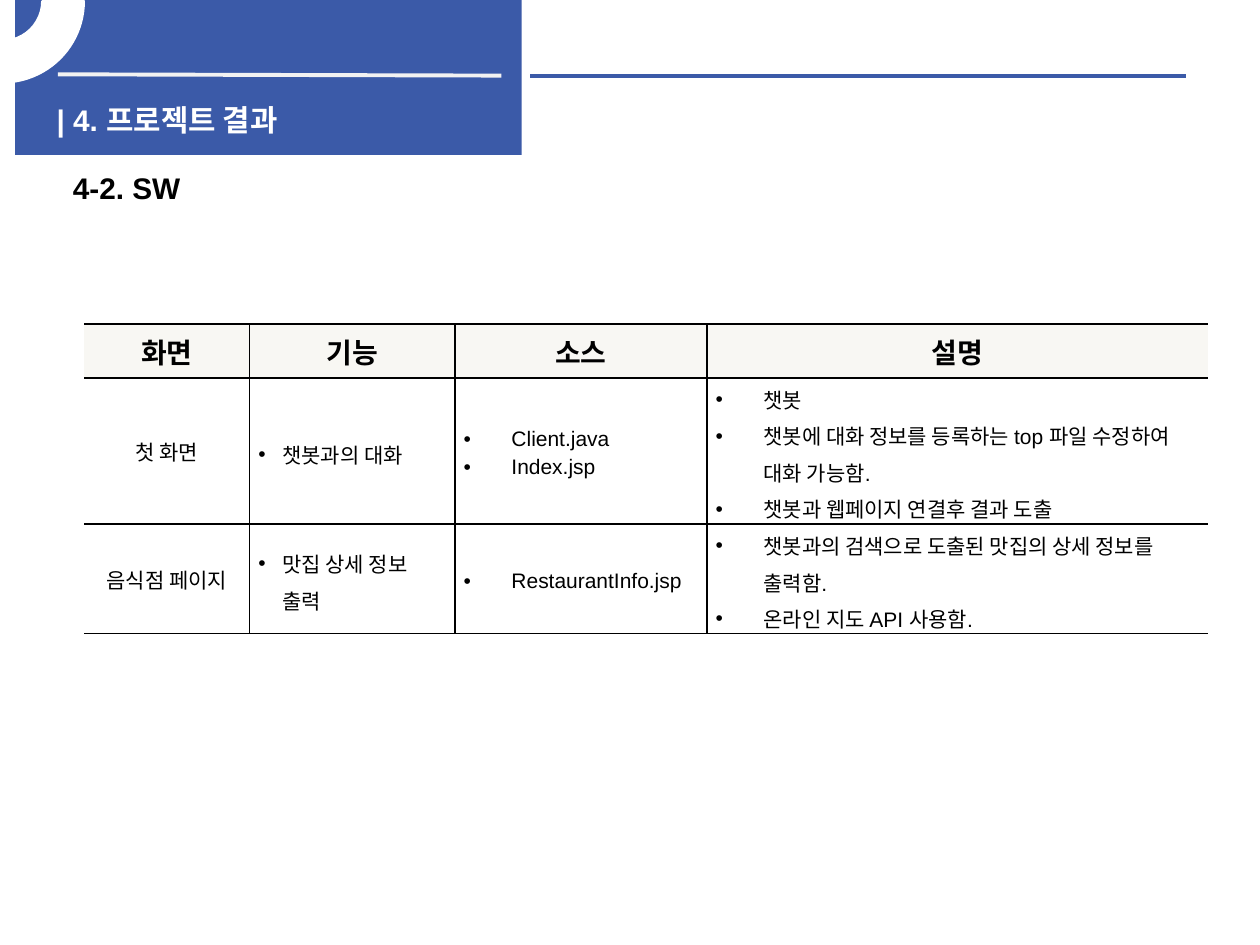
from lxml.etree import SubElement
from pptx import Presentation
from pptx.dml.color import RGBColor
from pptx.enum.shapes import MSO_CONNECTOR, MSO_SHAPE as Shape
from pptx.enum.text import MSO_ANCHOR as Anchor, PP_ALIGN as Align
from pptx.oxml.ns import qn
from pptx.util import Inches, Pt

BLUE, WHITE, BLACK = "3B5AA8", "FFFFFF", "000000"
COLUMN_WIDTHS = (1.31, 1.63, 2, 3.98)
ROW_HEIGHTS = (0.43, 1.16, 0.87)
BULLET_INDENTS = (None, 0.19, 0.38, 0.38)
HEADINGS = ("화면", "기능", "소스", "설명")
SCREENS = (
    (
        "첫 화면",
        "챗봇과의 대화",
        "Client.java\nIndex.jsp",
        "챗봇\n챗봇에 대화 정보를 등록하는 top 파일 수정하여 대화 가능함.\n"
        "챗봇과 웹페이지 연결후 결과 도출",
    ),
    (
        "음식점 페이지",
        "맛집 상세 정보 출력",
        "RestaurantInfo.jsp",
        "챗봇과의 검색으로 도출된 맛집의 상세 정보를 출력함.\n온라인 지도 API 사용함.",
    ),
)


def color(value):
    return RGBColor.from_string(value)


def add_bullet(paragraph, indent):
    properties = paragraph._p.get_or_add_pPr()
    properties.set("marL", str(Inches(indent)))
    properties.set("indent", str(-Inches(indent)))
    SubElement(properties, qn("a:buFont"), typeface="Arial")
    SubElement(properties, qn("a:buChar"), char="•")


def write_text(frame, text, size=12, fill=BLACK, bold=False, align=Align.LEFT,
               line_spacing=None, space=0, bullet_indent=None):
    """Fill a text frame with one paragraph for each line of text."""
    frame.word_wrap = True
    for index, line in enumerate(text.split("\n")):
        paragraph = frame.add_paragraph() if index else frame.paragraphs[0]
        paragraph.alignment = align
        paragraph.space_before = paragraph.space_after = Pt(space)
        if line_spacing:
            paragraph.line_spacing = line_spacing
        if bullet_indent:
            add_bullet(paragraph, bullet_indent)
        run = paragraph.add_run()
        run.text = line
        run.font.name = "Arial"
        run.font.size = Pt(size)
        run.font.bold = bold
        run.font.color.rgb = color(fill)


def add_title(slide, text, left, top, width, height, fill):
    box = slide.shapes.add_textbox(*map(Inches, (left, top, width, height)))
    write_text(box.text_frame, text, size=17, fill=fill, bold=True)


def add_shape(slide, kind, left, top, width, height, fill):
    shape = slide.shapes.add_shape(kind, *map(Inches, (left, top, width, height)))
    shape.shadow.inherit = False
    shape.fill.solid()
    shape.fill.fore_color.rgb = color(fill)
    shape.line.fill.background()
    return shape


def add_ring(slide):
    ring = add_shape(slide, Shape.BLOCK_ARC, -0.63, -0.63, 1.29, 1.28, WHITE)
    ring._element.spPr.xfrm.set("flipV", "1")
    start_degrees = 161.59
    ring.adjustments[0] = start_degrees * 60000 / 100000
    ring.adjustments[1] = 0
    ring.adjustments[2] = 0.25
    ring.line.color.rgb = color(WHITE)
    ring.line.width = Pt(2)


def add_rule(slide, x1, y1, x2, y2, fill):
    rule = slide.shapes.add_connector(
        MSO_CONNECTOR.STRAIGHT, *map(Inches, (x1, y1, x2, y2)))
    rule.line.color.rgb = color(fill)
    rule.line.width = Pt(2.25)
    SubElement(rule._element.spPr, qn("a:effectLst"))


def set_borders(cell, visible_sides):
    properties = cell._tc.get_or_add_tcPr()
    for side in "LRTB":
        border = SubElement(properties, qn(f"a:ln{side}"), w=str(Pt(1)))
        if side in visible_sides:
            solid = SubElement(border, qn("a:solidFill"))
            SubElement(solid, qn("a:srgbClr"), val=BLACK)
        else:
            SubElement(border, qn("a:noFill"))


def format_cell(cell, row, column):
    left_side = "L" if column > 0 else ""
    right_side = "R" if column < len(COLUMN_WIDTHS) - 1 else ""
    set_borders(cell, "TB" + left_side + right_side)
    cell.vertical_anchor = Anchor.MIDDLE
    if row == 0:
        cell.fill.solid()
        cell.fill.fore_color.rgb = color("F8F7F3")
    else:
        cell.fill.background()
        cell.margin_left = cell.margin_right = Inches(0.07)
        cell.margin_top = cell.margin_bottom = 0


def add_screen_table(slide):
    rows = (HEADINGS, *SCREENS)
    table = slide.shapes.add_table(
        len(rows), len(HEADINGS), Inches(0.67), Inches(2.57),
        Inches(sum(COLUMN_WIDTHS)), Inches(sum(ROW_HEIGHTS))).table
    table.first_row = table.horz_banding = False
    for column, width in zip(table.columns, COLUMN_WIDTHS):
        column.width = Inches(width)
    for row, height in zip(table.rows, ROW_HEIGHTS):
        row.height = Inches(height)
    for row, texts in enumerate(rows):
        for column, text in enumerate(texts):
            cell = table.cell(row, column)
            format_cell(cell, row, column)
            if row == 0:
                style = dict(size=16, bold=True, align=Align.CENTER)
            elif column == 0:
                style = dict(align=Align.CENTER, space=2)
            else:
                style = dict(line_spacing=1.2, bullet_indent=BULLET_INDENTS[column])
            write_text(cell.text_frame, text, **style)


def main():
    presentation = Presentation()
    presentation.slide_width = Inches(10)
    presentation.slide_height = Inches(7.5)
    slide = presentation.slides.add_slide(presentation.slide_layouts[6])
    add_shape(slide, Shape.RECTANGLE, 0.12, 0, 4.02, 1.23, BLUE)
    add_rule(slide, 0.46, 0.59, 3.98, 0.6, "F2F2F2")
    add_rule(slide, 4.21, 0.6, 9.41, 0.6, BLUE)
    add_title(slide, "| 4. 프로젝트 결과", 0.35, 0.76, 3.62, 0.39, WHITE)
    add_ring(slide)
    add_title(slide, "4-2. SW", 0.48, 1.3, 3.54, 0.31, BLACK)
    add_screen_table(slide)
    presentation.save("out.pptx")


if __name__ == "__main__":
    main()
